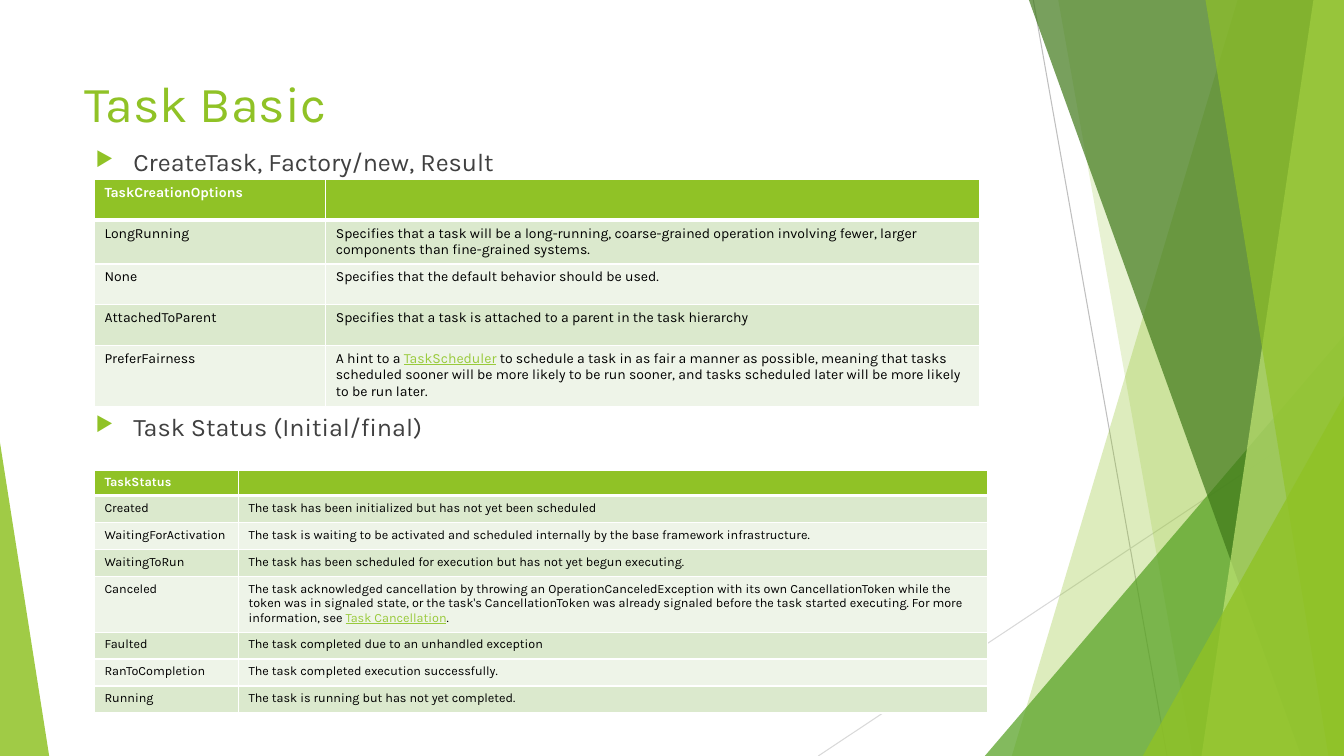
from dataclasses import dataclass

from lxml.etree import SubElement
from pptx import Presentation
from pptx.dml.color import RGBColor
from pptx.enum.shapes import MSO_CONNECTOR, MSO_SHAPE
from pptx.oxml.ns import qn
from pptx.util import Cm, Pt

FONT = "Karla"
GREEN, WHITE, BLACK = "90C226", "FFFFFF", "000000"
LINK, BODY_GRAY = "99CA3C", "404040"
BANDS = ("DBE9CD", "EEF4E8")
WIDTH, HEIGHT = 33.87, 19.05


@dataclass
class Ray:
    start: tuple[float, float]
    end: tuple[float, float]
    color: str


@dataclass
class Shard:
    top_x: float
    bottom_x: float
    color: str
    opacity: int


@dataclass
class Wedge:
    left: float
    right: float
    top: float
    apex: float
    color: str
    opacity: int


@dataclass
class Glossary:
    top: float
    columns: tuple[float, float]
    header_height: float
    row_height: float
    size: int
    heading: str
    entries: list[tuple[str, str]]


def paint(target, color: str) -> None:
    target.solid()
    target.fore_color.rgb = RGBColor.from_string(color)


def style(run, size: int, color: str, bold: bool = False) -> None:
    run.font.name = FONT
    run.font.size = Pt(size)
    run.font.bold = bold
    run.font.color.rgb = RGBColor.from_string(color)


def draw_ray(slide, ray: Ray) -> None:
    ends = [Cm(value) for value in ray.start + ray.end]
    connector = slide.shapes.add_connector(MSO_CONNECTOR.STRAIGHT, *ends)
    connector.line.width = Pt(0.75)
    connector.line.color.rgb = RGBColor.from_string(ray.color)
    SubElement(connector._element.spPr, qn("a:effectLst"))


def draw_facet(slide, facet: Shard | Wedge) -> None:
    if isinstance(facet, Shard):
        builder = slide.shapes.build_freeform(Cm(facet.top_x), 0, scale=1.0)
        corners = ((WIDTH, 0), (WIDTH, HEIGHT), (facet.bottom_x, HEIGHT))
        builder.add_line_segments([(Cm(x), Cm(y)) for x, y in corners], close=True)
        shape = builder.convert_to_shape()
    else:
        shape = slide.shapes.add_shape(
            MSO_SHAPE.ISOSCELES_TRIANGLE, Cm(facet.left), Cm(facet.top),
            Cm(facet.right - facet.left), Cm(HEIGHT - facet.top))
        shape.adjustments[0] = facet.apex
    shape.shadow.inherit = False
    shape.line.fill.background()
    paint(shape.fill, facet.color)
    tint = shape._element.spPr.find(qn("a:solidFill"))[0]
    SubElement(tint, qn("a:alpha"), val=str(facet.opacity * 1000))


def add_text(slide, left: float, top: float, width: float, height: float,
             lines: list[str], size: int, color: str):
    frame = slide.shapes.add_textbox(Cm(left), Cm(top), Cm(width), Cm(height)).text_frame
    frame.word_wrap = True
    frame.text = "\n".join(lines)
    for paragraph in frame.paragraphs:
        style(paragraph.runs[0], size, color)
    return frame


def add_bullet(paragraph) -> None:
    properties = paragraph._p.get_or_add_pPr()
    properties.set("marL", str(Cm(0.95)))
    properties.set("indent", str(-Cm(0.95)))
    SubElement(SubElement(properties, qn("a:buClr")), qn("a:srgbClr"), val=GREEN)
    SubElement(properties, qn("a:buSzPct"), val="80000")
    SubElement(properties, qn("a:buChar"), char="▶")


def add_borders(cell, top: float, bottom: float) -> None:
    properties = cell._tc.get_or_add_tcPr()
    for side, width in (("L", 1), ("R", 1), ("T", top), ("B", bottom)):
        edge = SubElement(properties, qn(f"a:ln{side}"), w=str(Pt(width)))
        SubElement(SubElement(edge, qn("a:solidFill")), qn("a:srgbClr"), val=WHITE)


def fill_cell(cell, text: str, size: int, row: int) -> None:
    add_borders(cell, 3 if row == 1 else 1, 3 if row == 0 else 1)
    paint(cell.fill, BANDS[(row - 1) % 2] if row else GREEN)
    paragraph = cell.text_frame.paragraphs[0]
    if not text:
        SubElement(paragraph._p, qn("a:endParaRPr"), sz=str(size * 100))
        return
    for index, part in enumerate(text.split("|")):
        run = paragraph.add_run()
        run.text = part
        is_link = index == 1
        style(run, size, LINK if is_link else BLACK if row else WHITE, row == 0)
        run.font.underline = is_link


def draw_glossary(slide, glossary: Glossary) -> None:
    rows = [(glossary.heading, ""), *glossary.entries]
    height = glossary.header_height + glossary.row_height * len(glossary.entries)
    table = slide.shapes.add_table(
        len(rows), 2, Cm(2.38), Cm(glossary.top),
        Cm(sum(glossary.columns)), Cm(height)).table
    for column, width in zip(table.columns, glossary.columns):
        column.width = Cm(width)
    for row, texts in enumerate(rows):
        table.rows[row].height = Cm(glossary.row_height if row else glossary.header_height)
        for column, text in enumerate(texts):
            fill_cell(table.cell(row, column), text, glossary.size, row)


RAYS = [
    Ray((26.04, 0), (29.41, HEIGHT), "BFBFBF"),
    Ray((WIDTH, 10.24), (20.62, HEIGHT), "D9D9D9"),
]
FACETS = [
    Shard(31.19, 25.5, GREEN, 30),
    Shard(26.67, 30.05, GREEN, 20),
    Wedge(24.82, WIDTH, 8.46, 1, "54A021", 72),
    Shard(25.93, 32.79, "3F7819", 70),
    Shard(33.1, 30.28, "C0E474", 70),
    Shard(30.38, 33.48, GREEN, 65),
    Wedge(28.8, WIDTH, 9.98, 1, GREEN, 80),
    Wedge(0, 1.24, 11.15, 0, GREEN, 85),
]
STATUSES = Glossary(11.85, (3.63, 18.88), 0.43, 0.68, 9, "TaskStatus", [
    ("Created", "The task has been initialized but has not yet been scheduled"),
    ("WaitingForActivation", "The task is waiting to be activated and scheduled "
     "internally by the base framework infrastructure."),
    ("WaitingToRun", "The task has been scheduled for execution but has not yet "
     "begun executing."),
    ("Canceled", "The task acknowledged cancellation by throwing an "
     "OperationCanceledException with its own CancellationToken while the token was "
     "in signaled state, or the task's CancellationToken was already signaled before "
     "the task started executing. For more information, see |Task Cancellation|."),
    ("Faulted", "The task completed due to an unhandled exception"),
    ("RanToCompletion", "The task completed execution successfully."),
    ("Running", "The task is running but has not yet completed."),
])
OPTIONS = Glossary(4.52, (5.83, 16.47), 1.03, 1.03, 10, "TaskCreationOptions", [
    ("LongRunning", "Specifies that a task will be a long-running, coarse-grained "
     "operation involving fewer, larger components than fine-grained systems."),
    ("None", "Specifies that the default behavior should be used."),
    ("AttachedToParent", "Specifies that a task is attached to a parent in the task "
     "hierarchy"),
    ("PreferFairness", "A hint to a |TaskScheduler| to schedule a task in as fair a "
     "manner as possible, meaning that tasks scheduled sooner will be more likely to "
     "be run sooner, and tasks scheduled later will be more likely to be run later."),
])

presentation = Presentation()
presentation.slide_width, presentation.slide_height = Cm(WIDTH), Cm(HEIGHT)
slide = presentation.slides.add_slide(presentation.slide_layouts[6])
for ray in RAYS:
    draw_ray(slide, ray)
for facet in FACETS:
    draw_facet(slide, facet)
add_text(slide, 1.88, 1.7, 23.88, 3.66, ["Task Basic"], 36, GREEN)
topics = add_text(slide, 2.16, 3.56, 23.62, 13.2,
                  ["CreateTask, Factory/new, Result", "Task Status (Initial/final)"],
                  18, BODY_GRAY)
topics.paragraphs[1].space_before = Pt(168)
for topic in topics.paragraphs:
    add_bullet(topic)
for glossary in (STATUSES, OPTIONS):
    draw_glossary(slide, glossary)
presentation.save("out.pptx")
